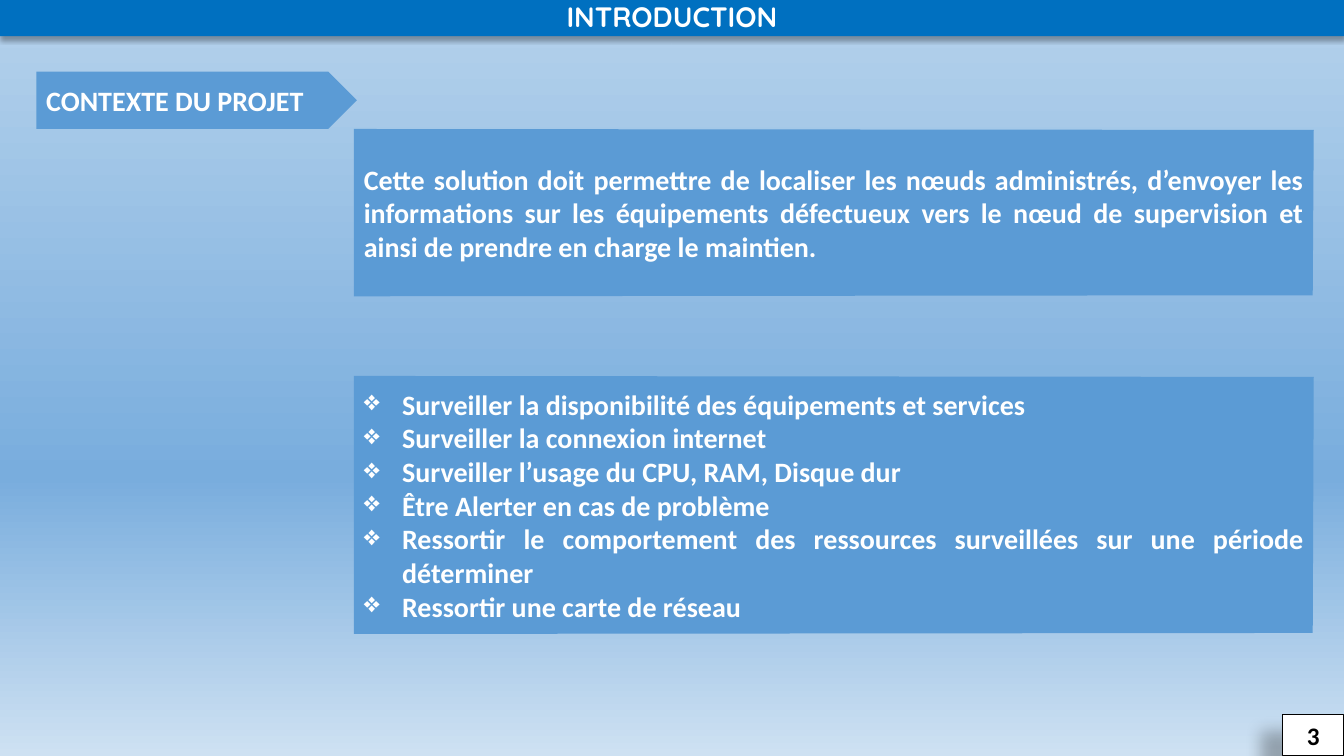
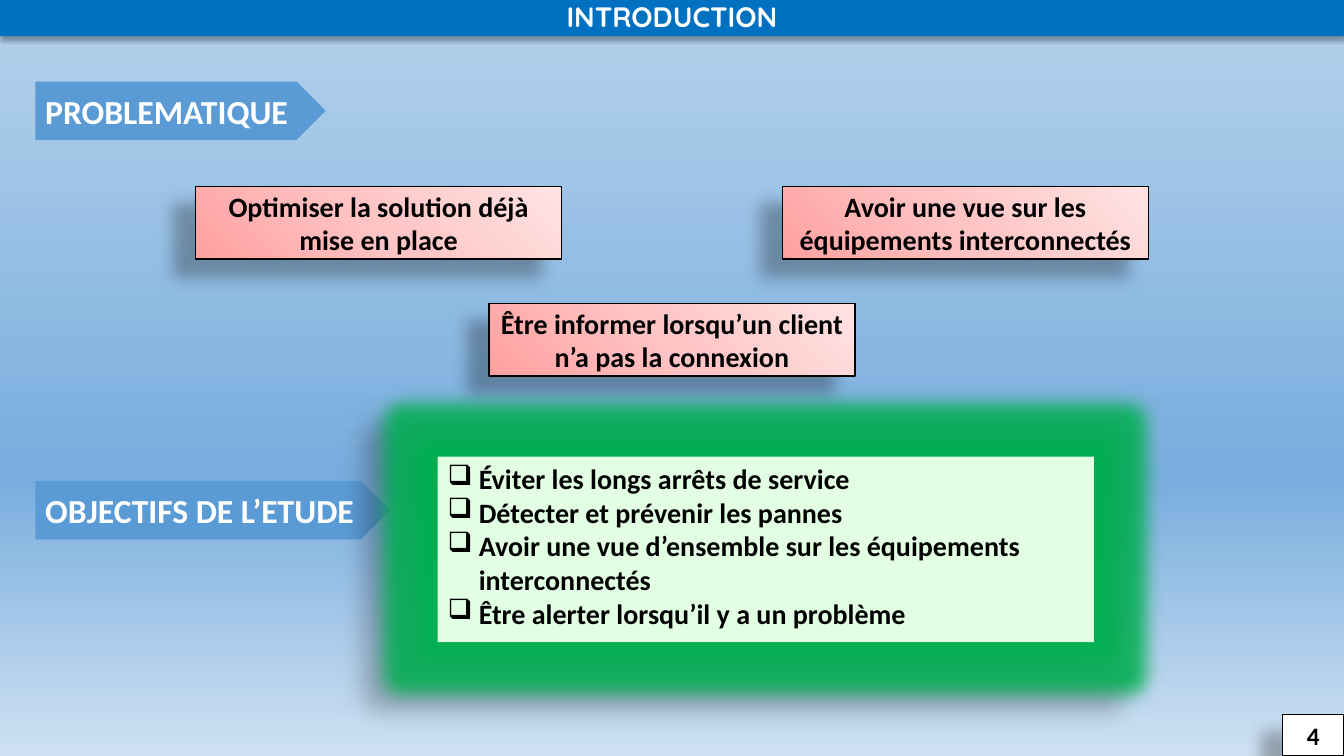
import dataclasses

import lxml.etree
import pptx
import pptx.dml.color
import pptx.enum.shapes
import pptx.enum.text
import pptx.oxml.ns
import pptx.util

Inches = pptx.util.Inches
Pt = pptx.util.Pt
Kind = pptx.enum.shapes.MSO_SHAPE
Align = pptx.enum.text.PP_ALIGN
Anchor = pptx.enum.text.MSO_ANCHOR
qn = pptx.oxml.ns.qn


@dataclasses.dataclass(frozen=True)
class Theme:
    band: str = "0070C0"
    block: str = "5B9BD5"
    light: str = "FFFFFF"
    dark: str = "000000"
    mint: str = "E3FFE3"
    halo: str = "00B050"
    sky: tuple = ((0, "B5D2EC"), (63, "79ADDD"), (100, "CEE1F2"))
    rose: tuple = ((0, "FFA0A0"), (50, "FFC5C5"), (100, "FFE3E3"))
    head: str = "Quicksand"
    body: str = "Calibri"
    small: int = 18
    text: int = 20
    large: int = 24
    thin: float = 0.75
    edge: float = 1
    soft: tuple = (32, 3.5, 2.2, 90)
    deep: tuple = (28, 11.8, 19.7, 141)
    glow: tuple = (25, 85)


def add(parent, tag, **attrs):
    node = lxml.etree.SubElement(parent, qn(tag))
    for key, value in attrs.items():
        node.set(key, str(value))
    return node


def tint(parent, color, alpha):
    node = add(parent, "a:srgbClr", val=color)
    add(node, "a:alpha", val=alpha * 1000)


def blend(parent, stops, round_fill=False):
    plain = parent.find(qn("a:solidFill"))
    grad = add(parent, "a:gradFill", rotWithShape=1)
    parent.replace(plain, grad)
    items = add(grad, "a:gsLst")
    for place, color in stops:
        stop = add(items, "a:gs", pos=place * 1000)
        add(stop, "a:srgbClr", val=color)
    if round_fill:
        way = add(grad, "a:path", path="circle")
        add(way, "a:fillToRect", t=100000, r=100000)
    else:
        add(grad, "a:lin", ang=90 * 60000, scaled=0)


class Deck:
    def __init__(self, theme):
        self.theme = theme
        self.show = pptx.Presentation()
        self.show.slide_width = Inches(13.33)
        self.show.slide_height = Inches(7.5)
        self.slide = None

    def page(self, title, number):
        t = self.theme
        self.slide = self.show.slides.add_slide(self.show.slide_layouts[6])
        self.slide.background.fill.solid()
        blend(self.slide.element.find(".//" + qn("p:bgPr")), t.sky)
        band = self.box((0, 0, 13.33, 0.36), t.band, shade=t.soft)
        self.label(band, [title], font=t.head, align=Align.CENTER, space=0.9)
        box = self.box((12.72, 7.09, 0.61, 0.41), t.light, t.thin, t.deep)
        self.label(box, [number], t.small, t.dark, align=Align.CENTER)

    def style(self, shape, fill, line=None, shade=None, glow=None):
        t = self.theme
        shape.shadow.inherit = False
        shape.fill.solid()
        if isinstance(fill, str):
            shape.fill.fore_color.rgb = pptx.dml.color.RGBColor.from_string(fill)
        else:
            blend(shape.element.spPr, fill, True)
        if line:
            shape.line.fill.solid()
            shape.line.fill.fore_color.rgb = pptx.dml.color.RGBColor.from_string(t.dark)
            shape.line.width = Pt(line)
        else:
            shape.line.fill.background()
        fx = shape.element.spPr.find(qn("a:effectLst"))
        if glow:
            size, alpha = glow
            tint(add(fx, "a:glow", rad=Pt(size)), t.halo, alpha)
        if shade:
            alpha, blur, gap, turn = shade
            cast = add(fx, "a:outerShdw", blurRad=Pt(blur), dist=Pt(gap),
                       dir=turn * 60000, algn="ctr", rotWithShape=0)
            tint(cast, t.dark, alpha)
        return shape

    def box(self, place, fill, line=None, shade=None, glow=None, kind=Kind.RECTANGLE):
        shape = self.slide.shapes.add_shape(kind, *map(Inches, place))
        return self.style(shape, fill, line, shade, glow)

    def label(self, shape, lines, size=None, color=None, font=None,
              align=Align.LEFT, space=None, mark=None, indent=0, anchor=Anchor.MIDDLE):
        t = self.theme
        frame = shape.text_frame
        frame.word_wrap = True
        frame.vertical_anchor = anchor
        for i, line in enumerate(lines):
            para = frame.add_paragraph() if i else frame.paragraphs[0]
            para.alignment = align
            if space:
                para.line_spacing = space
            if mark:
                props = para._p.get_or_add_pPr()
                props.set("marL", str(Inches(indent)))
                props.set("indent", str(-Inches(indent)))
                add(props, "a:buChar", char=mark)
            run = para.add_run()
            run.text = line
            run.font.name = font or t.body
            run.font.size = Pt(size or t.text)
            run.font.bold = True
            run.font.color.rgb = pptx.dml.color.RGBColor.from_string(color or t.light)

    def topic(self, place, text, size):
        shape = self.box(place, self.theme.block, kind=Kind.PENTAGON)
        self.label(shape, [text], size)

    def panel(self, top, height, lines, mark=None):
        left, right = 3.51, 13.03
        low = top + height
        spots = [(right, top + 0.01), (right - 0.01, low - 0.01), (left, low)]
        form = self.slide.shapes.build_freeform(Inches(left), Inches(top), 1.0)
        form.add_line_segments([(Inches(x), Inches(y)) for x, y in spots], close=True)
        shape = self.style(form.convert_to_shape(), self.theme.block)
        self.label(shape, lines, align=Align.JUSTIFY, mark=mark, indent=0.38)

    def card(self, left, top, text):
        t = self.theme
        shape = self.box((left, top, 3.63, 0.72), t.rose, t.edge, t.deep)
        self.label(shape, [text], color=t.dark, align=Align.CENTER)

    def goals(self, place, lines):
        t = self.theme
        shape = self.box(place, t.mint, shade=t.deep, glow=t.glow)
        self.label(shape, lines, color=t.dark, mark="❑", indent=0.31, anchor=Anchor.TOP)


def main():
    theme = Theme()
    deck = Deck(theme)

    deck.page("INTRODUCTION", "3")
    deck.topic((0.36, 0.71, 3.18, 0.57), "CONTEXTE DU PROJET", theme.text)
    deck.panel(1.28, 1.66, [
        "Cette solution doit permettre de localiser les nœuds administrés, "
        "d’envoyer les informations sur les équipements défectueux vers le nœud "
        "de supervision et ainsi de prendre en charge le maintien.",
    ])
    deck.panel(3.73, 2.56, [
        "Surveiller la disponibilité des équipements et services",
        "Surveiller la connexion internet",
        "Surveiller l’usage du CPU, RAM, Disque dur",
        "Être Alerter en cas de problème",
        "Ressortir le comportement des ressources surveillées sur une période déterminer",
        "Ressortir une carte de réseau",
    ], "❖")

    deck.page("INTRODUCTION", "4")
    deck.topic((0.35, 0.81, 2.88, 0.58), "PROBLEMATIQUE", theme.large)
    deck.card(1.94, 1.85, "Optimiser la solution déjà mise en place")
    deck.card(7.76, 1.85, "Avoir une vue sur les équipements interconnectés")
    deck.card(4.85, 3.01, "Être informer lorsqu’un client n’a pas la connexion")
    deck.topic((0.35, 4.77, 3.52, 0.58), "OBJECTIFS DE L’ETUDE", theme.large)
    deck.goals((4.34, 4.53, 6.51, 1.84), [
        "Éviter les longs arrêts de service",
        "Détecter et prévenir les pannes",
        "Avoir une vue d’ensemble sur les équipements interconnectés",
        "Être alerter lorsqu’il y a un problème",
    ])

    deck.show.save("out.pptx")


if __name__ == "__main__":
    main()
